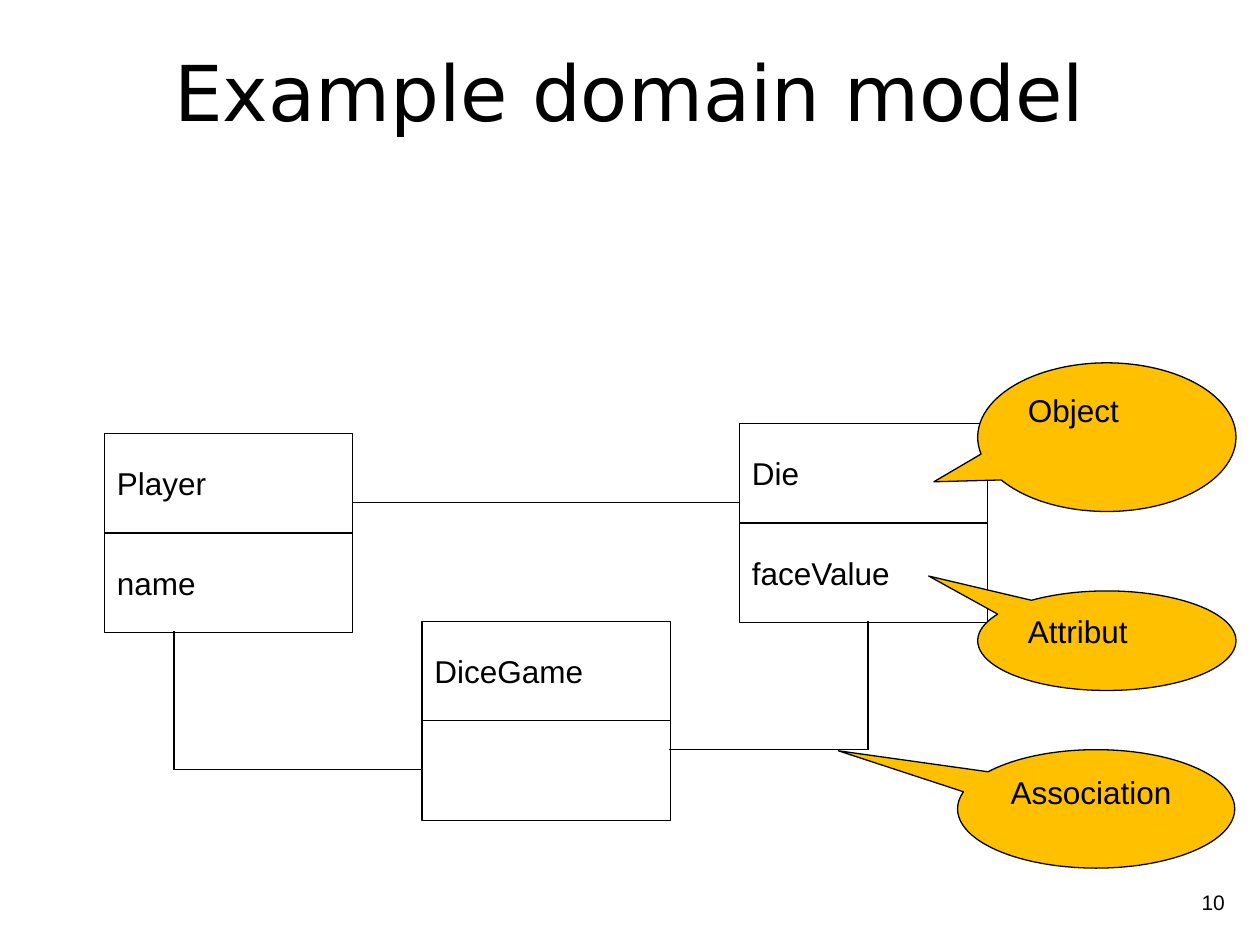
"""Build a slide showing an example domain model with callouts."""
from lxml import etree
from pptx import Presentation
from pptx import util as u
from pptx.dml.color import RGBColor
from pptx.enum import shapes, text
from pptx.oxml.ns import qn

COLOURS = {"ink": "000000", "paper": "FFFFFF", "callout": "FFC000"}
TITLE = "Example domain model"
PAGE_NUMBER = "10"
CLASS_WIDTH, ROW_HEIGHT = 1.97, 0.79

CLASSES = [
    {"rows": ["Player", "name"], "left": 0.83, "top": 3.44},
    {"rows": ["Die", "faceValue"], "left": 5.87, "top": 3.36},
    {"rows": ["DiceGame", ""], "left": 3.35, "top": 4.93},
]
ASSOCIATIONS = [
    [(2.8, 3.99), (5.87, 3.99)],
    [(1.38, 5.01), (1.38, 6.11), (3.35, 6.11)],
    [(6.89, 4.93), (6.89, 5.95), (5.31, 5.95)],
]
CALLOUTS = [
    ("Object", (7.76, 2.88, 2.05, 1.18), (-0.67, 0.3)),
    ("Attribut", (7.76, 4.69, 2.05, 0.79), (-0.69, -0.65)),
    ("Association", (7.6, 5.95, 2.2, 0.94), (-0.93, -0.49)),
]
LABEL = {"size": u.Pt(18), "name": "Arial"}
ROW_FRAME = {"word_wrap": False, "vertical_anchor": text.MSO_ANCHOR.MIDDLE}
CALLOUT_FRAME = {"word_wrap": True, "vertical_anchor": text.MSO_ANCHOR.TOP}


def colour(name):
    return RGBColor.from_string(COLOURS[name])


def assign(target, values):
    for name, value in values.items():
        setattr(target, name, value)


def write(shape, words, font, frame, alignment=text.PP_ALIGN.LEFT):
    assign(shape.text_frame, frame)
    paragraph = shape.text_frame.paragraphs[0]
    paragraph.alignment = alignment
    if words:
        run = paragraph.add_run()
        run.text = words
        assign(run.font, font)
        run.font.color.rgb = colour("ink")


def outline(shape):
    shape.line.color.rgb = colour("ink")
    shape.line.width = u.Pt(0.75)


def add_box(slide, kind, bounds, fill, words, frame):
    shape = slide.shapes.add_shape(kind, *map(u.Inches, bounds))
    shape.shadow.inherit = False
    shape.fill.solid()
    shape.fill.fore_color.rgb = colour(fill)
    outline(shape)
    write(shape, words, LABEL, frame)
    return shape


def add_line(slide, start, end):
    line = slide.shapes.add_connector(
        shapes.MSO_CONNECTOR.STRAIGHT, *map(u.Inches, start + end))
    outline(line)
    etree.SubElement(line._element.spPr, qn("a:effectLst"))


def main():
    presentation = Presentation()
    assign(presentation, {"slide_width": u.Inches(10), "slide_height": u.Inches(7.5)})
    slide = presentation.slides.add_slide(presentation.slide_layouts[5])

    number = slide.shapes.add_textbox(*map(u.Inches, (9.25, 6.91, 0.57, 0.5)))
    write(number, PAGE_NUMBER, {"size": u.Pt(12), "name": "Arial"},
          {"word_wrap": True, "vertical_anchor": text.MSO_ANCHOR.MIDDLE},
          text.PP_ALIGN.RIGHT)

    title = slide.shapes.title
    assign(title, dict(zip(("left", "top", "width", "height"),
                           map(u.Inches, (0.5, 0.3, 9, 1.25)))))
    write(title, TITLE, {"size": u.Pt(44), "name": "DejaVu Sans"},
          {"word_wrap": True, "vertical_anchor": text.MSO_ANCHOR.TOP},
          text.PP_ALIGN.CENTER)

    for model_class in CLASSES:
        for index, words in enumerate(model_class["rows"]):
            top = model_class["top"] + index * ROW_HEIGHT
            add_box(slide, shapes.MSO_SHAPE.RECTANGLE,
                    (model_class["left"], top, CLASS_WIDTH, ROW_HEIGHT),
                    "paper", words, ROW_FRAME)

    for points in ASSOCIATIONS:
        for start, end in zip(points, points[1:]):
            add_line(slide, start, end)

    for words, bounds, tip in CALLOUTS:
        callout = add_box(slide, shapes.MSO_SHAPE.OVAL_CALLOUT, bounds,
                          "callout", words, CALLOUT_FRAME)
        for index, offset in enumerate(tip):
            callout.adjustments[index] = offset

    presentation.save("out.pptx")


if __name__ == "__main__":
    main()
